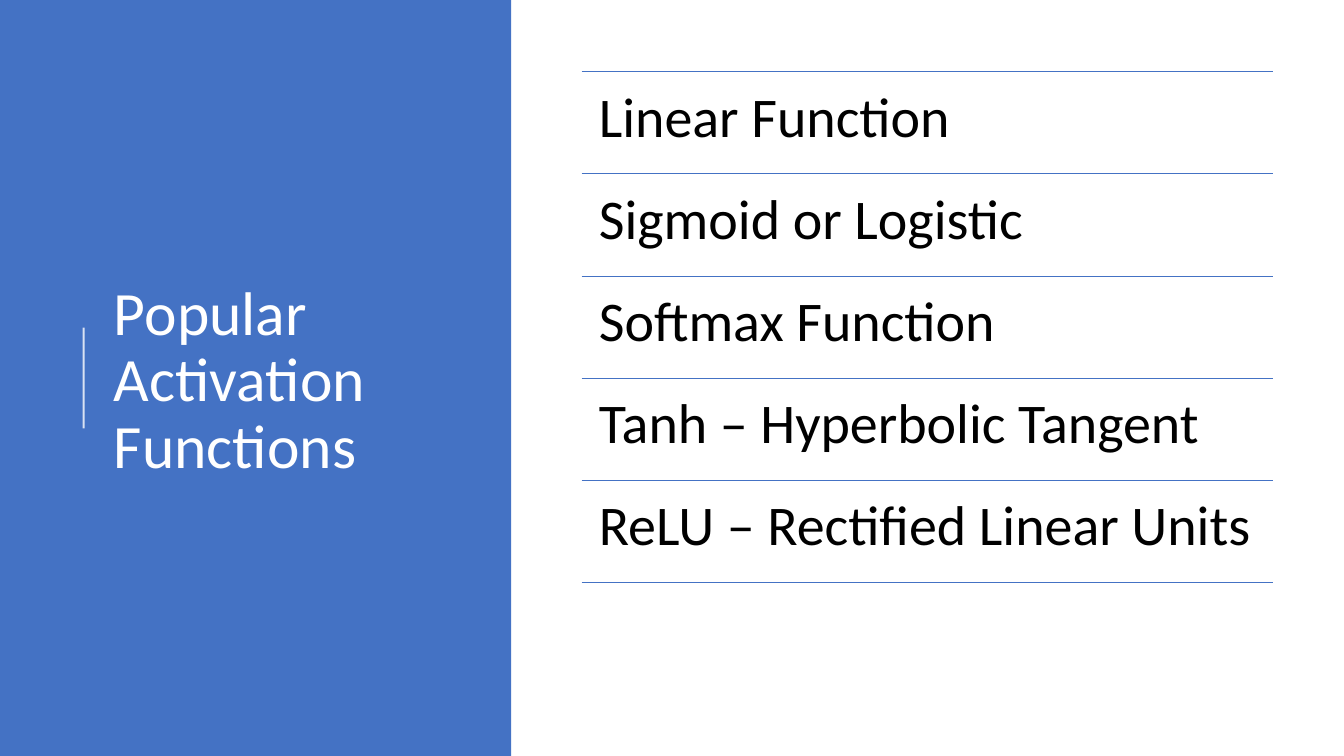
from lxml.etree import SubElement
from pptx import Presentation
from pptx.dml.color import RGBColor
from pptx.enum.shapes import MSO_CONNECTOR, MSO_SHAPE
from pptx.enum.text import MSO_ANCHOR, MSO_AUTO_SIZE, PP_ALIGN
from pptx.oxml.ns import qn
from pptx.util import Inches, Pt

TITLE = "Popular Activation Functions"
FUNCTIONS = [
    "Linear Function",
    "Sigmoid or Logistic",
    "Softmax Function",
    "Tanh – Hyperbolic Tangent",
    "ReLU – Rectified Linear Units",
]

BLUE = RGBColor(0x44, 0x72, 0xC4)
WHITE = RGBColor(0xFF, 0xFF, 0xFF)
BLACK = RGBColor(0x00, 0x00, 0x00)

SLIDE_WIDTH, SLIDE_HEIGHT = 13.33, 7.5
PANEL_WIDTH = 5.07
LIST_LEFT, LIST_RIGHT = 5.77, 12.63
LIST_TOP, LIST_BOTTOM = 0.71, 5.78
ROW_HEIGHT = (LIST_BOTTOM - LIST_TOP) / len(FUNCTIONS)

TITLE_FRAME = {
    "word_wrap": True,
    "auto_size": MSO_AUTO_SIZE.NONE,
    "vertical_anchor": MSO_ANCHOR.MIDDLE,
}
ROW_FRAME = {
    "word_wrap": True,
    "auto_size": MSO_AUTO_SIZE.NONE,
    "vertical_anchor": MSO_ANCHOR.TOP,
    "margin_left": Inches(0.17),
    "margin_top": Inches(0.17),
    "margin_right": Inches(0.17),
    "margin_bottom": Inches(0.17),
}
PARAGRAPH = {"alignment": PP_ALIGN.LEFT, "line_spacing": 0.9}


def apply(target, values):
    for name, value in values.items():
        setattr(target, name, value)


def write(shape, text, frame_values, size, color):
    apply(shape.text_frame, frame_values)
    para = shape.text_frame.paragraphs[0]
    apply(para, PARAGRAPH)
    span = para.add_run()
    span.text = text
    apply(span.font, {"name": "Calibri", "size": Pt(size)})
    span.font.color.rgb = color


def add_line(page, start, end, color, width):
    ends = [Inches(value) for value in (*start, *end)]
    line = page.shapes.add_connector(MSO_CONNECTOR.STRAIGHT, *ends)
    line.line.color.rgb = color
    line.line.width = Pt(width)
    SubElement(line.element.spPr, qn("a:effectLst"))
    return line


def add_title(page):
    title = page.shapes.title
    apply(title, {
        "left": Inches(1.03),
        "top": Inches(0.78),
        "width": Inches(3.69),
        "height": Inches(6.02),
    })
    write(title, TITLE, TITLE_FRAME, 44, WHITE)

    panel = page.shapes.add_shape(
        MSO_SHAPE.RECTANGLE, 0, 0, Inches(PANEL_WIDTH), Inches(SLIDE_HEIGHT)
    )
    panel.shadow.inherit = False
    panel.fill.solid()
    panel.fill.fore_color.rgb = BLUE
    panel.line.fill.background()
    title.element.addprevious(panel.element)

    accent = add_line(page, (0.83, 4.25), (0.83, 3.25), WHITE, 1.5)
    color = accent.element.spPr.find(".//" + qn("a:srgbClr"))
    SubElement(color, qn("a:alpha"), val="80000")


def add_functions(page):
    for index in range(len(FUNCTIONS) + 1):
        top = LIST_TOP + index * ROW_HEIGHT
        add_line(page, (LIST_LEFT, top), (LIST_RIGHT, top), BLUE, 0.5)
    for index, text in enumerate(FUNCTIONS):
        box = page.shapes.add_textbox(
            Inches(LIST_LEFT),
            Inches(LIST_TOP + index * ROW_HEIGHT),
            Inches(LIST_RIGHT - LIST_LEFT),
            Inches(ROW_HEIGHT),
        )
        write(box, text, ROW_FRAME, 40, BLACK)


def main():
    deck = Presentation()
    deck.slide_width = Inches(SLIDE_WIDTH)
    deck.slide_height = Inches(SLIDE_HEIGHT)
    page = deck.slides.add_slide(deck.slide_layouts[5])
    add_title(page)
    add_functions(page)
    deck.save("out.pptx")


if __name__ == "__main__":
    main()
